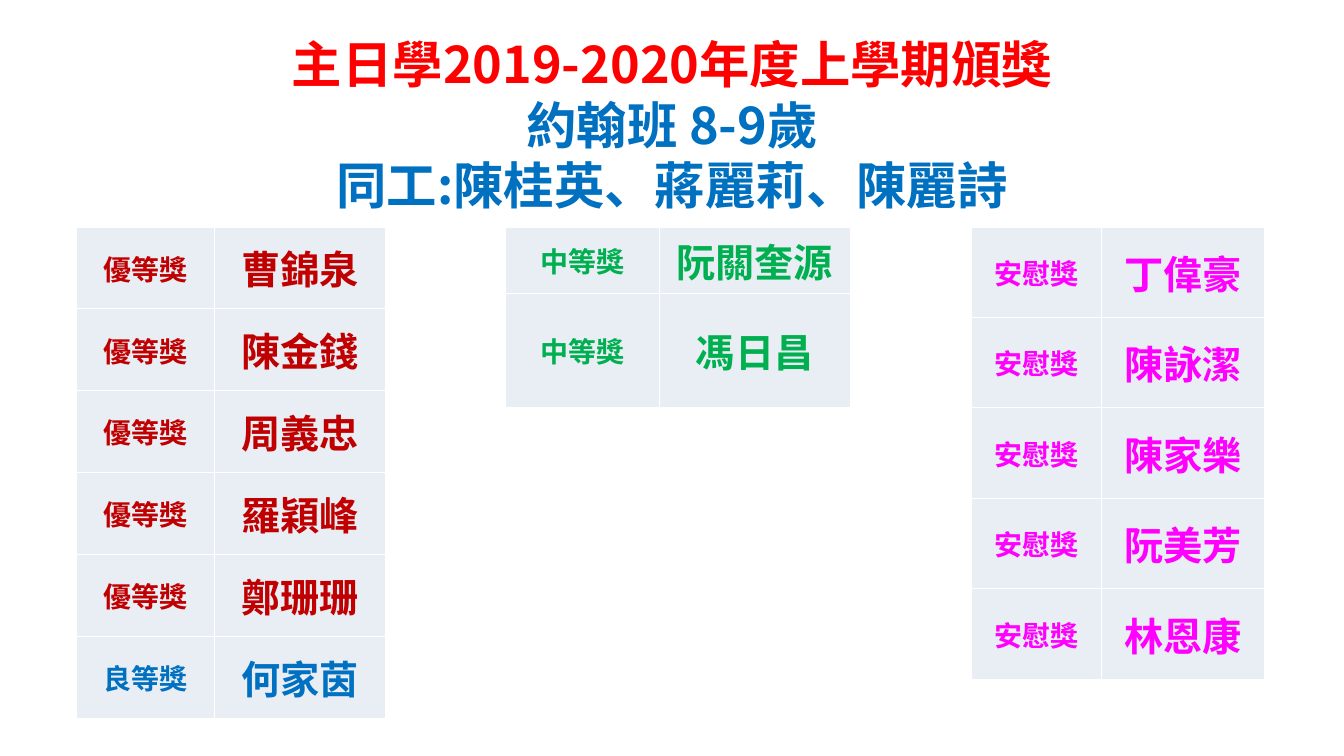
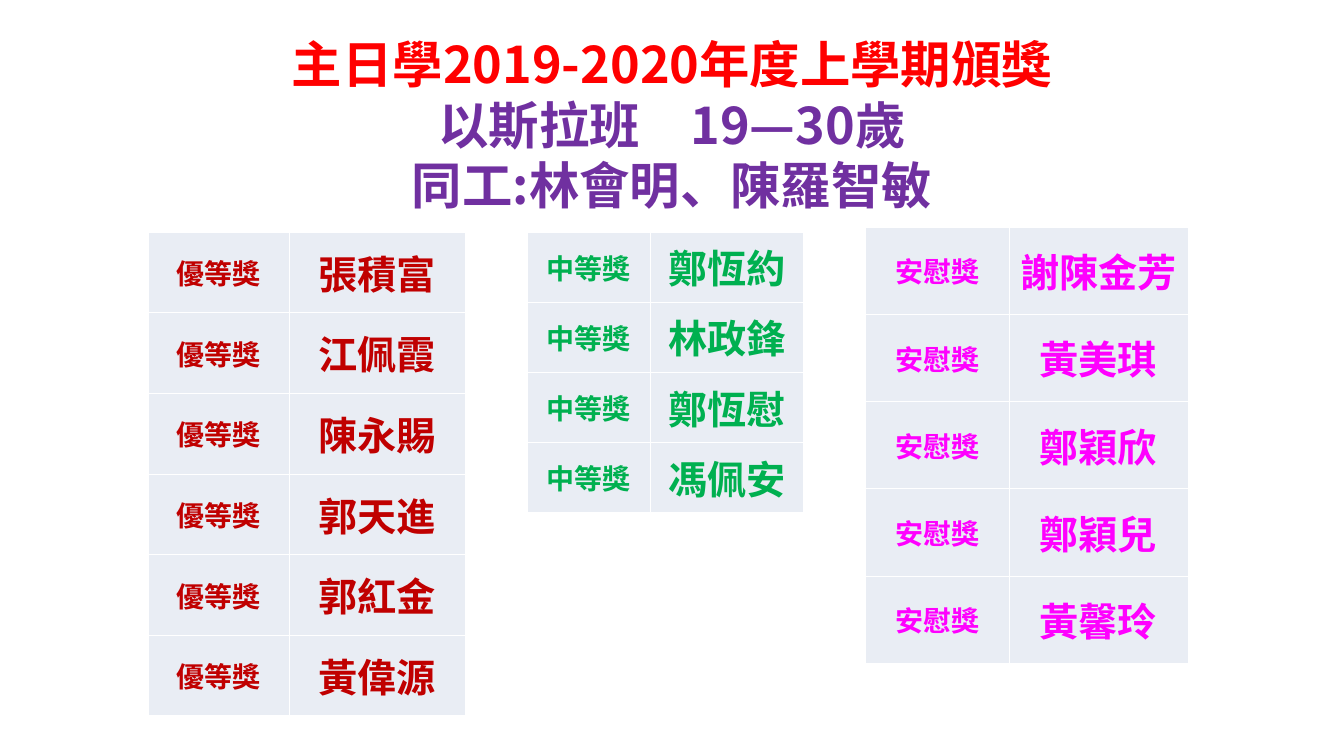
from dataclasses import dataclass

from lxml.etree import SubElement
from pptx import Presentation
from pptx.dml.color import RGBColor
from pptx.enum.text import MSO_ANCHOR as Anchor, MSO_AUTO_SIZE as AutoSize, PP_ALIGN as Align
from pptx.oxml.ns import qn
from pptx.util import Inches, Pt

SLIDE_WIDTH, SLIDE_HEIGHT = Inches(13.34), Inches(7.5)
COLUMN, ROW = SLIDE_WIDTH / 100, SLIDE_HEIGHT / 100

RED = RGBColor(0xFF, 0x00, 0x00)
CRIMSON = RGBColor(0xC0, 0x00, 0x00)
BLUE = RGBColor(0x00, 0x70, 0xC0)
GREEN = RGBColor(0x00, 0xB0, 0x50)
MAGENTA = RGBColor(0xFF, 0x00, 0xFF)
PURPLE = RGBColor(0x70, 0x30, 0xA0)
PALE = RGBColor(0xE9, 0xED, 0xF4)
WHITE = RGBColor(0xFF, 0xFF, 0xFF)

CEREMONY = "主日學2019-2020年度上學期頒獎"
HEADING_FONT = {"name": "Noto Sans CJK SC", "size": Pt(36), "bold": True}
AWARD_FONT = {"name": "Calibri", "size": Pt(20), "bold": True}
WINNER_FONT = {**AWARD_FONT, "size": Pt(28)}
AWARD_COLORS = {"優等獎": CRIMSON, "良等獎": BLUE, "中等獎": GREEN, "安慰獎": MAGENTA}
AWARD_SHARE = 4 / 9
HEADING_FRAME = {
    "margin_left": Inches(0.1), "margin_right": Inches(0.1),
    "margin_top": Inches(0.05), "margin_bottom": Inches(0.05),
    "vertical_anchor": Anchor.TOP, "word_wrap": True, "auto_size": AutoSize.NONE,
}
CELL_FRAME = {
    "margin_left": Inches(0.01), "margin_right": Inches(0.01),
    "margin_top": Inches(0.05), "margin_bottom": Inches(0.05),
    "vertical_anchor": Anchor.MIDDLE,
}


@dataclass
class HonourRoll:
    """Winners by award, in a box of grid columns and rows."""
    left: float
    top: float
    width: float
    row_heights: list
    winners: dict


@dataclass
class SchoolClass:
    """One class with its teachers and honour rolls."""
    name: str
    teachers: str
    color: RGBColor
    heading_height: float
    rolls: list


CLASSES = [
    SchoolClass("約翰班 8-9歲", "同工:陳桂英、蔣麗莉、陳麗詩", BLUE, 41.33, [
        HonourRoll(5.7, 30, 23, [10.84] * 6, {
            "優等獎": ["曹錦泉", "陳金錢", "周義忠", "羅穎峰", "鄭珊珊"],
            "良等獎": ["何家茵"]}),
        HonourRoll(37.63, 30, 25.64, [8.1, 15], {"中等獎": ["阮關奎源", "馮日昌"]}),
        HonourRoll(72.26, 30, 21.8, [11.97] * 5, {
            "安慰獎": ["丁偉豪", "陳詠潔", "陳家樂", "阮美芳", "林恩康"]}),
    ]),
    SchoolClass("以斯拉班　19—30歲", "同工:林會明、陳羅智敏", PURPLE, 33.33, [
        HonourRoll(11.02, 30.67, 23.6, [10.67] * 6, {
            "優等獎": ["張積富", "江佩霞", "陳永賜", "郭天進", "郭紅金", "黃偉源"]}),
        HonourRoll(39.2, 30.67, 20.6, [9.27] * 4, {
            "中等獎": ["鄭恆約", "林政鋒", "鄭恆慰", "馮佩安"]}),
        HonourRoll(64.4, 30, 24, [11.55] * 5, {
            "安慰獎": ["謝陳金芳", "黃美琪", "鄭穎欣", "鄭穎兒", "黃馨玲"]}),
    ]),
]


def apply(target, formats):
    """Set each format value on the target."""
    for attribute, setting in formats.items():
        setattr(target, attribute, setting)


def write_line(paragraph, text, font, color):
    """Write one centred line in the given font and colour."""
    paragraph.alignment = Align.CENTER
    run = paragraph.add_run()
    run.text = text
    apply(run.font, font)
    run.font.color.rgb = color


def rule_cell(cell):
    """Draw thin white rules on all sides of a cell."""
    properties = cell._tc.get_or_add_tcPr()
    for position, side in enumerate(("lnL", "lnR", "lnT", "lnB")):
        rule = SubElement(properties, qn(f"a:{side}"), w=str(Pt(0.45)))
        fill = SubElement(rule, qn("a:solidFill"))
        SubElement(fill, qn("a:srgbClr"), val=str(WHITE))
        properties.insert(position, rule)


def add_heading(slide, school_class):
    """Fill the title with the ceremony, class and teachers."""
    title = slide.shapes.title
    apply(title, {"left": 0, "top": round(3.73 * ROW), "width": SLIDE_WIDTH,
                  "height": round(school_class.heading_height * ROW)})
    frame = title.text_frame
    apply(frame, HEADING_FRAME)
    lines = [(CEREMONY, RED), (school_class.name, school_class.color),
             (school_class.teachers, school_class.color)]
    for number, (text, color) in enumerate(lines):
        paragraph = frame.add_paragraph() if number else frame.paragraphs[0]
        write_line(paragraph, text, HEADING_FONT, color)


def add_roll(slide, roll):
    """Add a table of awards and winners in the roll's box."""
    entries = [(award, winner) for award, names in roll.winners.items() for winner in names]
    width = roll.width * COLUMN
    table = slide.shapes.add_table(
        len(entries), 2, round(roll.left * COLUMN), round(roll.top * ROW),
        round(width), round(sum(roll.row_heights) * ROW)).table
    apply(table, {"first_row": False, "horz_banding": False})
    for column, share in zip(table.columns, (AWARD_SHARE, 1 - AWARD_SHARE)):
        column.width = round(width * share)
    for row, height, entry in zip(table.rows, roll.row_heights, entries):
        row.height = round(height * ROW)
        for cell, text, font in zip(row.cells, entry, (AWARD_FONT, WINNER_FONT)):
            apply(cell, CELL_FRAME)
            cell.fill.solid()
            cell.fill.fore_color.rgb = PALE
            rule_cell(cell)
            write_line(cell.text_frame.paragraphs[0], text, font, AWARD_COLORS[entry[0]])


def add_class_slide(deck, school_class):
    """Add the award slide of one class."""
    slide = deck.slides.add_slide(deck.slide_layouts[5])
    add_heading(slide, school_class)
    for roll in school_class.rolls:
        add_roll(slide, roll)


def main():
    """Build and save the deck."""
    deck = Presentation()
    apply(deck, {"slide_width": SLIDE_WIDTH, "slide_height": SLIDE_HEIGHT})
    for school_class in CLASSES:
        add_class_slide(deck, school_class)
    deck.save("out.pptx")


if __name__ == "__main__":
    main()
